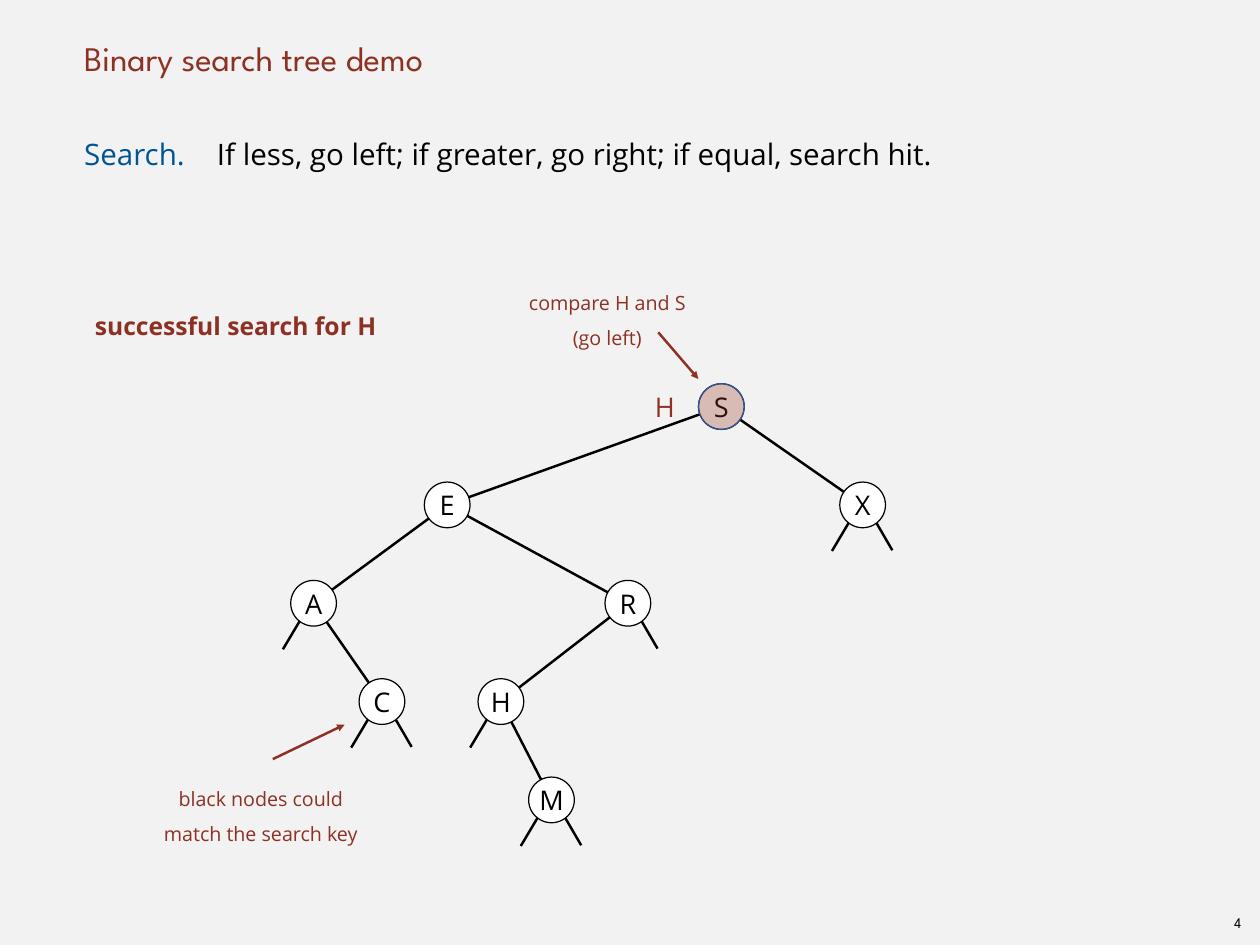
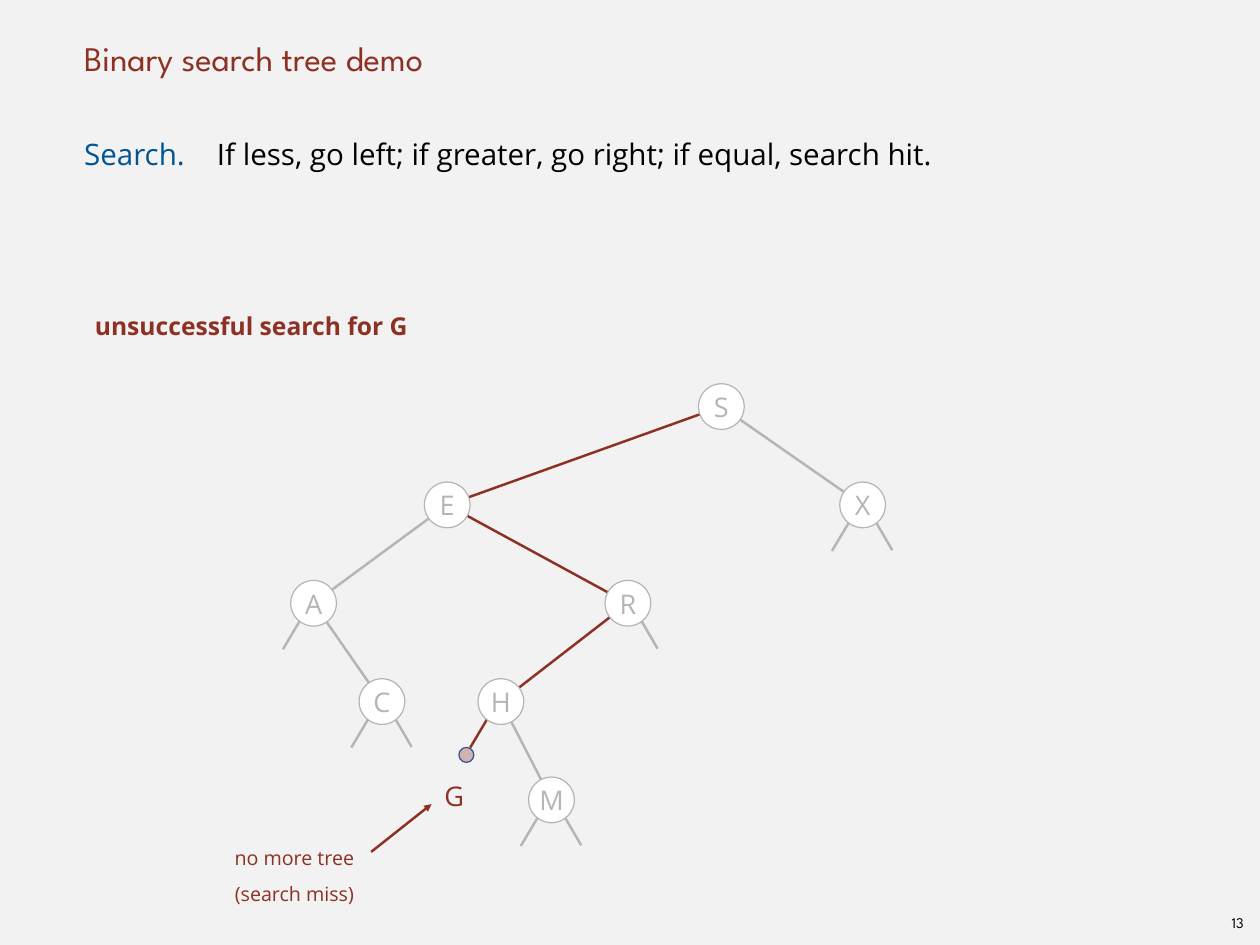
"""Build two slides that trace searches in a binary search tree."""
import dataclasses

import lxml.etree
import pptx
import pptx.dml.color
import pptx.enum.shapes
import pptx.enum.text
import pptx.oxml.ns
import pptx.util

Cm = pptx.util.Cm
Pt = pptx.util.Pt
Align = pptx.enum.text.PP_ALIGN
Anchor = pptx.enum.text.MSO_ANCHOR


@dataclasses.dataclass(frozen=True)
class Theme:
    """Colours, fonts, type sizes and line widths of the deck."""
    paper: str = "F2F2F2"
    ink: str = "000000"
    red: str = "8D3124"
    blue: str = "005493"
    grey: str = "B5B5B5"
    white: str = "FFFFFF"
    rim: str = "2F5597"
    head_font: str = "League Spartan"
    text_font: str = "Open Sans"
    title: int = 28
    body: int = 24
    node: int = 22
    goal: int = 20
    note: int = 16
    page: int = 12
    stroke: int = 2
    edge: int = 1


THEME = Theme()
WIDTH, HEIGHT = 36.12, 27.1
LEFT, SPAN = 2.26, 31.6
PAD = 0.15
DISC = 1.31
TOP, STEP = 11.66, 2.82
STUBS = ((-0.88, 1.32), (0.85, 1.3))
RISE = 0.16
TREE = {
    "S": (20.68, 0, "EX"),
    "E": (12.82, 1, "AR"),
    "X": (24.73, 1, "  "),
    "A": (8.99, 2, " C"),
    "R": (18.0, 2, "H "),
    "C": (10.95, 3, "  "),
    "H": (14.36, 3, " M"),
    "M": (15.81, 4, "  "),
}


def rgb(tone):
    """Turn a hex string into a colour."""
    return pptx.dml.color.RGBColor.from_string(tone)


def sub(parent, tag, **attrs):
    """Append a drawing element and return it."""
    return lxml.etree.SubElement(parent, pptx.oxml.ns.qn(tag), attrs)


def write(frame, lines, size, font=THEME.text_font, bold=False,
          align=Align.LEFT, pitch=None, pad=PAD, inset=0,
          anchor=Anchor.TOP, tab=None):
    """Fill a text frame; each line is a list of (text, tone) runs."""
    frame.auto_size = pptx.enum.text.MSO_AUTO_SIZE.NONE
    frame.word_wrap = True
    frame.vertical_anchor = anchor
    frame.margin_left = frame.margin_right = Cm(inset)
    frame.margin_top = frame.margin_bottom = Cm(inset)
    for index, line in enumerate(lines):
        para = frame.paragraphs[0] if index == 0 else frame.add_paragraph()
        props = para._p.get_or_add_pPr()
        props.set("marL", str(Cm(pad)))
        props.set("indent", "0")
        sub(props, "a:buNone")
        if tab:
            stops = sub(props, "a:tabLst")
            sub(stops, "a:tab", pos=str(Cm(tab)), algn="l")
        para.alignment = align
        para.space_before = Pt(0)
        if pitch:
            para.line_spacing = pitch
        for text, tone in line:
            run = para.add_run()
            run.text = text
            run.font.name = font
            run.font.size = Pt(size)
            run.font.bold = bold
            run.font.color.rgb = rgb(tone)


def add_text(slide, box, lines, size, **style):
    """Add a text box at left, top, width, height."""
    label = slide.shapes.add_textbox(*map(Cm, box))
    write(label.text_frame, lines, size, **style)


def add_note(slide, box, *texts):
    """Add a small centred remark."""
    lines = [[(text, THEME.red)] for text in texts]
    add_text(slide, box, lines, THEME.note, align=Align.CENTER, pitch=1.5)


def add_key(slide, spot, key):
    """Add the sought key, centred on a spot."""
    box = (spot[0] - DISC / 2, spot[1] - DISC / 2, DISC, DISC)
    add_text(slide, box, [[(key, THEME.red)]], THEME.node,
             align=Align.CENTER, pad=0, anchor=Anchor.MIDDLE)


def add_line(shapes, start, end, tone, arrow=False):
    """Add a straight line, with an arrowhead at its end if asked."""
    kind = pptx.enum.shapes.MSO_CONNECTOR.STRAIGHT
    line = shapes.add_connector(kind, *map(Cm, (*start, *end)))
    line.line.color.rgb = rgb(tone)
    line.line.width = Pt(THEME.stroke)
    if arrow:
        sub(line.line._get_or_add_ln(), "a:tailEnd", type="triangle")
    sub(line._element.spPr, "a:effectLst")


def add_disc(shapes, spot, size, fill, rim):
    """Add a circle centred on a spot."""
    kind = pptx.enum.shapes.MSO_SHAPE.OVAL
    box = (spot[0] - size / 2, spot[1] - size / 2, size, size)
    disc = shapes.add_shape(kind, *map(Cm, box))
    disc.shadow.inherit = False
    disc.fill.solid()
    disc.fill.fore_color.rgb = rgb(fill)
    disc.line.color.rgb = rgb(rim)
    disc.line.width = Pt(THEME.edge)
    return disc


def add_glow(slide, spot, size):
    """Add a see-through red disc that marks the current place."""
    disc = add_disc(slide.shapes, spot, size, THEME.red, THEME.rim)
    tint = disc._element.spPr.find(".//" + pptx.oxml.ns.qn("a:srgbClr"))
    sub(tint, "a:alpha", val="33000")


def place(key):
    """Return the centre of a node."""
    x, level, _ = TREE[key]
    return x, TOP + STEP * level


def trace(goal):
    """Return the (node, side) steps of a search."""
    steps, key = [], "S"
    while key in TREE and key != goal:
        side = int(goal > key)
        steps.append((key, side))
        key = TREE[key][2][side]
    return steps


def add_tree(slide, tone, steps=()):
    """Draw the tree in one tone, with the given steps in red."""
    shapes = slide.shapes.add_group_shape().shapes
    for key, (_, _, kids) in TREE.items():
        x, y = place(key)
        for side, kid in enumerate(kids):
            shade = THEME.red if (key, side) in steps else tone
            if kid in TREE:
                add_line(shapes, (x, y), place(kid), shade)
            elif (key, kid) != ("R", "H"):
                run, drop = STUBS[side]
                add_line(shapes, (x, y - RISE), (x + run, y + drop), shade)
    for key in TREE:
        disc = add_disc(shapes, place(key), DISC, THEME.white, tone)
        write(disc.text_frame, [[(key, tone)]], THEME.node,
              align=Align.CENTER, pad=0, anchor=Anchor.MIDDLE)


def set_up(deck):
    """Set size, ground and placeholder spots; return the layout."""
    deck.slide_width, deck.slide_height = Cm(WIDTH), Cm(HEIGHT)
    ground = deck.slide_master.background.fill
    ground.solid()
    ground.fore_color.rgb = rgb(THEME.paper)
    layout = deck.slide_layouts[1]
    spots = ((0, 2.26), (3.53, 22.58))
    for holder, (top, height) in zip(layout.placeholders, spots):
        holder.left, holder.top = Cm(LEFT), Cm(top)
        holder.width, holder.height = Cm(SPAN), Cm(height)
    return layout


def add_slide(deck, layout, page, goal):
    """Add a slide with title, rule, page number and search goal."""
    slide = deck.slides.add_slide(layout)
    title, body = slide.placeholders
    write(title.text_frame, [[("Binary search tree demo", THEME.red)]],
          THEME.title, font=THEME.head_font, anchor=Anchor.BOTTOM)
    rule = "If less, go left; if greater, go right; if equal, search hit."
    write(body.text_frame,
          [[("Search.", THEME.blue), ("\t", THEME.ink), (rule, THEME.ink)]],
          THEME.body, pitch=Pt(39), tab=3.45)
    add_text(slide, (35.05, 26.04, 0.86, 0.81), [[(page, THEME.ink)]],
             THEME.page, font=THEME.head_font, align=Align.CENTER,
             pad=0, inset=PAD, anchor=Anchor.MIDDLE)
    add_text(slide, (2.57, 8.92, 10, 1.09), [[(goal, THEME.red)]],
             THEME.goal, bold=True)
    return slide


def main():
    """Build and save the deck."""
    deck = pptx.Presentation()
    layout = set_up(deck)

    hit = add_slide(deck, layout, "4", "successful search for H")
    add_note(hit, (4.24, 22.23, 6.32, 1.88),
             "black nodes could", "match the search key")
    add_line(hit.shapes, (7.82, 21.77), (9.88, 20.78), THEME.red, True)
    add_note(hit, (14.68, 8, 5.31, 1.88), "compare H and S", "(go left)")
    add_line(hit.shapes, (18.87, 9.53), (20.02, 10.87), THEME.red, True)
    add_key(hit, (19.06, TOP), "H")
    add_tree(hit, THEME.ink)
    add_glow(hit, place("S"), DISC)

    miss = add_slide(deck, layout, "13", "unsuccessful search for G")
    add_tree(miss, THEME.grey, trace("G"))
    add_key(miss, (13.02, 22.81), "G")
    add_note(miss, (6.27, 23.93, 4.19, 1.88),
             "no more tree", "(search miss)")
    add_line(miss.shapes, (10.64, 24.43), (12.37, 23.06), THEME.red, True)
    add_glow(miss, (13.37, 21.65), 0.43)

    deck.save("out.pptx")


if __name__ == "__main__":
    main()
